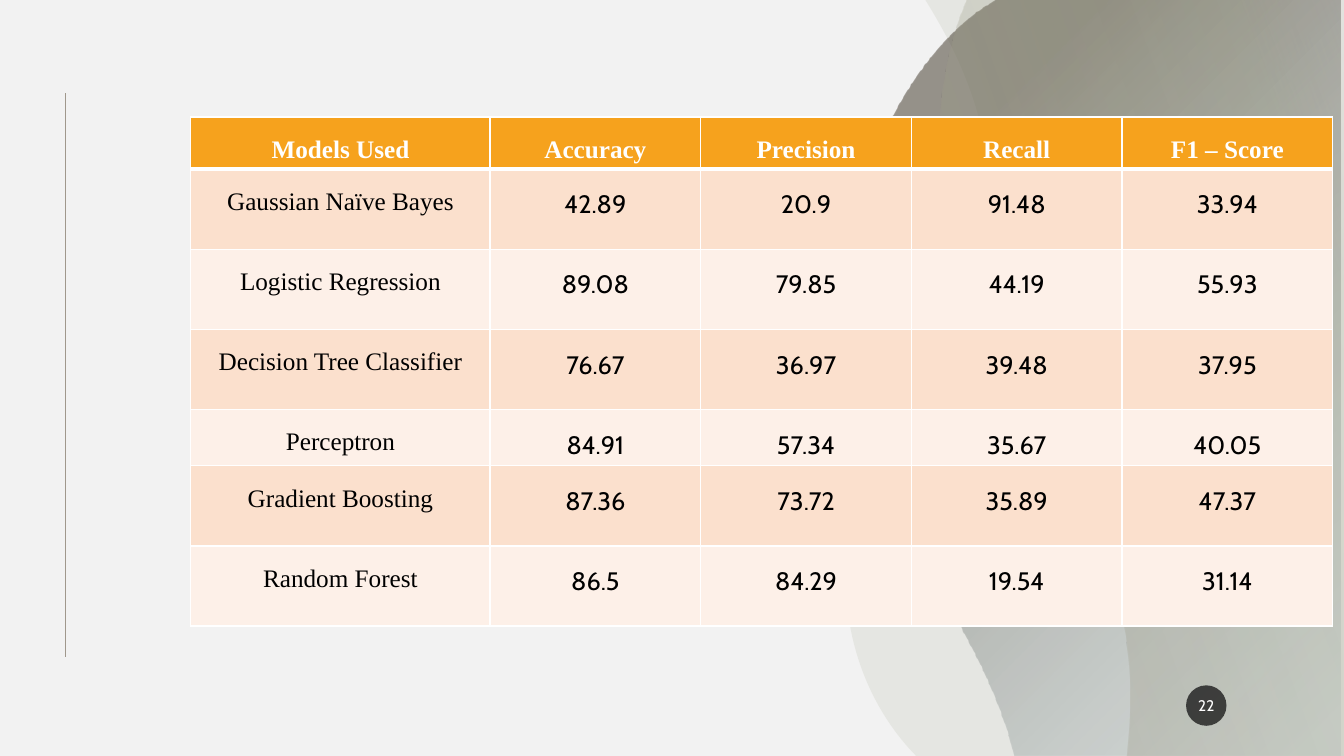
"""Build the model comparison slide."""
from dataclasses import dataclass
from typing import NamedTuple

from lxml.etree import SubElement
from pptx import Presentation
from pptx.dml.color import RGBColor
from pptx.enum.shapes import MSO_CONNECTOR, MSO_SHAPE
from pptx.enum.text import MSO_ANCHOR, PP_ALIGN
from pptx.oxml import parse_xml
from pptx.oxml.ns import nsdecls, qn
from pptx.shapes.autoshape import Shape
from pptx.slide import Slide
from pptx.table import _Cell
from pptx.text.text import TextFrame
from pptx.util import Cm, Pt


@dataclass(frozen=True)
class Theme:
    """Colours, fonts and type sizes of the slide."""
    background: str = "F2F2F2"
    rule: str = "A0988C"
    header: str = "F6A21D"
    bands: tuple[str, str] = ("FBE0CD", "FDF0E8")
    white: str = "FFFFFF"
    black: str = "000000"
    badge: str = "1D1D1D"
    sage: str = "9CA383"
    mist: str = "9BAFB5"
    umber: str = "443C2E"
    serif: str = "Times New Roman"
    sans: str = "Cabin"
    table_size: int = 18
    badge_size: int = 11


class Stop(NamedTuple):
    """One gradient stop, with position and opacity in percent."""
    position: int
    color: str
    opacity: int


class Point(NamedTuple):
    """A position on the slide in centimetres."""
    x: float
    y: float


class Wave(NamedTuple):
    """A translucent area between a curved left side and a straight right side."""
    right: float
    top_left: float
    bottom_left: float
    curve: tuple[Point, ...]
    stops: tuple[Stop, ...]
    direction: str


class Model(NamedTuple):
    """Scores of one model, as shown."""
    name: str
    scores: tuple[str, ...]
    height: float


THEME = Theme()
WIDTH, HEIGHT = 33.87, 19.05
SHORT_ROW, TALL_ROW = 1.17, 2.02
NAME_COLUMN, SCORE_COLUMN = 7.54, 5.31
HEADINGS = ("Models Used", "Accuracy", "Precision", "Recall", "F1 – Score")
MODELS = (
    Model("Gaussian Naïve Bayes", ("42.89", "20.9", "91.48", "33.94"), TALL_ROW),
    Model("Logistic Regression", ("89.08", "79.85", "44.19", "55.93"), TALL_ROW),
    Model("Decision Tree Classifier", ("76.67", "36.97", "39.48", "37.95"), TALL_ROW),
    Model("Perceptron", ("84.91", "57.34", "35.67", "40.05"), SHORT_ROW),
    Model("Gradient Boosting", ("87.36", "73.72", "35.89", "47.37"), TALL_ROW),
    Model("Random Forest", ("86.5", "84.29", "19.54", "31.14"), TALL_ROW),
)
WAVES = (
    Wave(WIDTH, 23.32, 23.09, (
        Point(23.06, 19.02), Point(22.1, 18.03), Point(21.29, 16.46), Point(21.31, 14.43),
        Point(21.34, 10.85), Point(24.89, 9.3), Point(24.97, 5.46),
        Point(25.02, 3.07), Point(24.13, 1.32), Point(23.37, 0.08),
    ), (Stop(0, THEME.sage, 14),), ""),
    Wave(33.78, 25.1, 25.55, (
        Point(25.43, 18.57), Point(24.28, 14.81), Point(21.34, 12.5), Point(21.31, 8.18),
        Point(21.29, 4.19), Point(23.09, 1.4), Point(24.71, 0.25),
    ), (Stop(4, THEME.mist, 24), Stop(79, THEME.umber, 52)),
        '<a:path path="circle"><a:fillToRect l="100000" t="100000"/></a:path>'),
    Wave(WIDTH, 24.36, 28.4, (
        Point(28.45, 18.31), Point(28.47, 17.98), Point(28.47, 17.63), Point(28.47, 17.3),
        Point(28.37, 11.63), Point(23.67, 9.35), Point(23.65, 4.04),
        Point(23.62, 2.69), Point(23.83, 1.5), Point(24.18, 0.46),
    ), (Stop(1, THEME.rule, 38), Stop(84, THEME.sage, 20), Stop(100, THEME.rule, 3)),
        '<a:lin ang="20400000" scaled="0"/>'),
)


def color_xml(stop: Stop) -> str:
    """Return the colour of a stop with its opacity."""
    return f'<a:srgbClr val="{stop.color}"><a:alpha val="{stop.opacity * 1000}"/></a:srgbClr>'


def set_fill(shape: Shape, stops: tuple[Stop, ...], direction: str = "") -> None:
    """Give a shape a translucent solid or gradient fill without outline or shadow."""
    shape.shadow.inherit = False
    shape.line.fill.background()
    shape.fill.background()
    if direction:
        listed = "".join(f'<a:gs pos="{stop.position * 1000}">{color_xml(stop)}</a:gs>' for stop in stops)
        xml = f'<a:gradFill {nsdecls("a")}><a:gsLst>{listed}</a:gsLst>{direction}</a:gradFill>'
    else:
        xml = f'<a:solidFill {nsdecls("a")}>{color_xml(stops[0])}</a:solidFill>'
    properties = shape._element.spPr
    properties.replace(properties.find(qn("a:noFill")), parse_xml(xml))


def add_wave(slide: Slide, wave: Wave) -> None:
    """Draw one background wave, with cubic curves on its left side."""
    corners = (Point(wave.right, 0), Point(wave.right, HEIGHT), Point(wave.bottom_left, HEIGHT))
    anchors = (*corners, *wave.curve[::3])
    builder = slide.shapes.build_freeform(Cm(wave.top_left), 0)
    builder.add_line_segments([(Cm(point.x), Cm(point.y)) for point in anchors], close=True)
    shape = builder.convert_to_shape()
    segments = list(shape._element.spPr.iter(qn("a:lnTo")))[len(corners) + 1:]
    for index, segment in enumerate(segments):
        controls = wave.curve[3 * index + 1:3 * index + 4]
        points = "".join(
            f'<a:pt x="{Cm(point.x) - shape.left}" y="{Cm(point.y) - shape.top}"/>' for point in controls)
        curve = parse_xml(f'<a:cubicBezTo {nsdecls("a")}>{points}</a:cubicBezTo>')
        segment.getparent().replace(segment, curve)
    set_fill(shape, wave.stops, wave.direction)


def add_text(frame: TextFrame, text: str, font: str, size: int, color: str, bold: bool = False) -> None:
    """Write one centred run into the first paragraph."""
    paragraph = frame.paragraphs[0]
    paragraph.alignment = PP_ALIGN.CENTER
    run = paragraph.add_run()
    run.text = text
    run.font.name = font
    run.font.size = Pt(size)
    run.font.bold = bold
    run.font.color.rgb = RGBColor.from_string(color)


def style_cell(cell: _Cell, fill: str, top: int, bottom: int) -> None:
    """Fill a cell and draw its white borders, with widths in points."""
    cell.fill.solid()
    cell.fill.fore_color.rgb = RGBColor.from_string(fill)
    properties = cell._tc.get_or_add_tcPr()
    for index, (side, width) in enumerate((("L", 1), ("R", 1), ("T", top), ("B", bottom))):
        properties.insert(index, parse_xml(
            f'<a:ln{side} {nsdecls("a")} w="{Pt(width)}"><a:solidFill>'
            f'<a:srgbClr val="{THEME.white}"/></a:solidFill></a:ln{side}>'))


def add_score_table(slide: Slide) -> None:
    """Add the table of model scores."""
    heights = (SHORT_ROW, *(model.height for model in MODELS))
    widths = (NAME_COLUMN, *(SCORE_COLUMN for _ in HEADINGS[1:]))
    table = slide.shapes.add_table(
        len(heights), len(widths), Cm(4.81), Cm(2.95), Cm(sum(widths)), Cm(sum(heights))).table
    for column, width in zip(table.columns, widths):
        column.width = Cm(width)
    contents = (HEADINGS, *((model.name, *model.scores) for model in MODELS))
    for row_index, (texts, height) in enumerate(zip(contents, heights)):
        table.rows[row_index].height = Cm(height)
        is_header = row_index == 0
        fill = THEME.header if is_header else THEME.bands[(row_index - 1) % 2]
        for column_index, text in enumerate(texts):
            cell = table.cell(row_index, column_index)
            style_cell(cell, fill, 3 if row_index == 1 else 1, 3 if is_header else 1)
            font = THEME.serif if is_header or column_index == 0 else THEME.sans
            color = THEME.white if is_header else THEME.black
            add_text(cell.text_frame, text, font, THEME.table_size, color, is_header)
            cell.text_frame.paragraphs[0].line_spacing = 1.5


def add_side_rule(slide: Slide) -> None:
    """Draw the thin vertical rule at the left."""
    rule = slide.shapes.add_connector(MSO_CONNECTOR.STRAIGHT, Cm(1.65), Cm(2.35), Cm(1.65), Cm(16.56))
    rule.line.color.rgb = RGBColor.from_string(THEME.rule)
    rule.line.width = Pt(0.5)
    SubElement(rule._element.spPr, qn("a:effectLst"))


def add_page_badge(slide: Slide) -> None:
    """Add the round slide number."""
    badge = slide.shapes.add_shape(MSO_SHAPE.OVAL, Cm(29.89), Cm(17.27), Cm(1.02), Cm(1.02))
    set_fill(badge, (Stop(0, THEME.badge, 80),))
    frame = badge.text_frame
    frame.margin_left = frame.margin_right = Cm(0.05)
    frame.vertical_anchor = MSO_ANCHOR.MIDDLE
    add_text(frame, "22", THEME.sans, THEME.badge_size, THEME.white)


def main() -> None:
    """Build and save the presentation."""
    presentation = Presentation()
    presentation.slide_width, presentation.slide_height = Cm(WIDTH), Cm(HEIGHT)
    slide = presentation.slides.add_slide(presentation.slide_layouts[6])
    slide.background.fill.solid()
    slide.background.fill.fore_color.rgb = RGBColor.from_string(THEME.background)
    add_side_rule(slide)
    for wave in WAVES:
        add_wave(slide, wave)
    add_score_table(slide)
    add_page_badge(slide)
    presentation.save("out.pptx")


if __name__ == "__main__":
    main()
